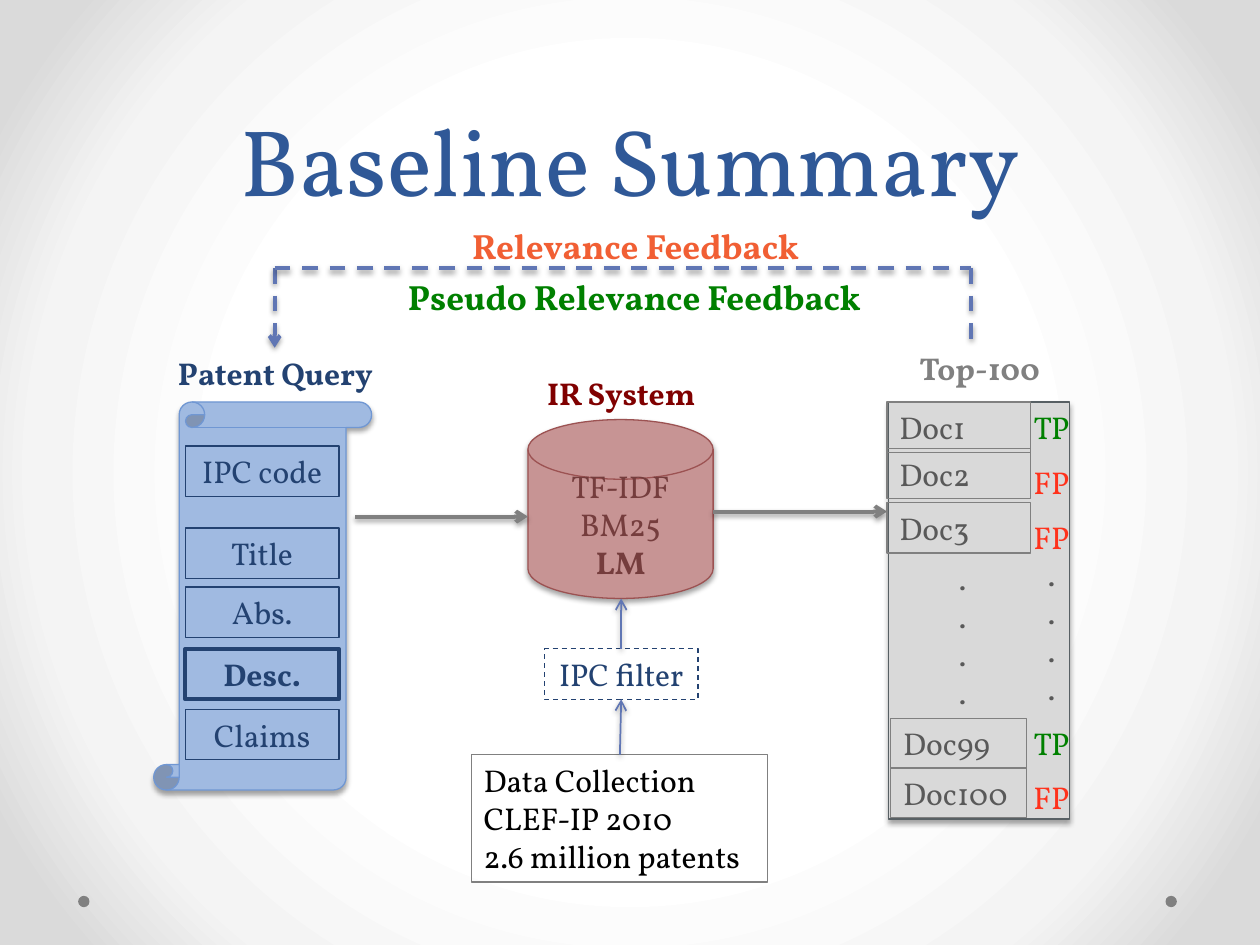
from lxml import etree
from pptx import Presentation
from pptx.dml.color import RGBColor
from pptx.enum import dml, shapes, text
from pptx.oxml import parse_xml
from pptx.util import Inches, Pt

FONT = "Vollkorn"
NS = "http://schemas.openxmlformats.org/drawingml/2006/main"
COLS, ROWS, CELL = 100, 75, 0.1  # the slide's grid, cell size in inches
LINE = 4  # rows taken by a one-line box
HUE = {
    "title": "2F5897", "navy": "234271", "blue": "6076B4", "gray": "808080",
    "scroll": "A0BAE1", "rim": "7097D3", "disk": "C79494", "edge": "9C5252",
    "wine": "753D3D", "maroon": "800000", "orange": "F15F34",
    "green": "008000", "red": "FF321C", "panel": "D9D9D9", "slate": "586064",
    "ink": "595959", "black": "000000",
}
GLOW = [(0, "FFFFFF"), (50, "FFFFFF"), (76, "F4F4F4"), (92, "DADADA"), (100, "DADADA")]
MID = text.PP_ALIGN.CENTER
LEFT = text.PP_ALIGN.LEFT


def grid(*cells):
    return [Inches(c * CELL) for c in cells]


def rgb(name):
    return RGBColor.from_string(HUE[name])


def shade(item, alpha=35, dist=1.8):
    """Cast a soft shadow straight down."""
    item._element.spPr.append(parse_xml(
        f'<a:effectLst xmlns:a="{NS}"><a:outerShdw blurRad="{Pt(3.1)}" '
        f'dist="{Pt(dist)}" dir="5400000" rotWithShape="0"><a:srgbClr val="000000">'
        f'<a:alpha val="{alpha * 1000}"/></a:srgbClr></a:outerShdw></a:effectLst>'))


def edge(item, hue, width=0.75, dash=False):
    item.line.color.rgb = rgb(hue)
    item.line.width = Pt(width)
    if dash:
        item.line.dash_style = dml.MSO_LINE.DASH


def write(item, lines, hue, size=18, bold=False, align=MID):
    frame = item.text_frame
    frame.word_wrap = True
    for i, words in enumerate(lines):
        para = frame.paragraphs[0] if i == 0 else frame.add_paragraph()
        para.text, para.alignment = words, align
        font = para.font
        font.name, font.size, font.bold = FONT, Pt(size), bold
        font.color.rgb = rgb(hue)
    return frame


def label(slide, box, words, hue, **style):
    item = slide.shapes.add_textbox(*grid(*box))
    write(item, words.split("\n"), hue, **style)
    return item


def solid(slide, kind, box, fill, rim=None):
    item = slide.shapes.add_shape(kind, *grid(*box))
    item.fill.solid()
    item.fill.fore_color.rgb = rgb(fill)
    if rim:
        edge(item, rim)
        shade(item)
    else:
        item.line.fill.background()
        item.shadow.inherit = False
    return item


def link(slide, start, end, hue, width=2.25, dash=False, arrow=True):
    item = slide.shapes.add_connector(
        shapes.MSO_CONNECTOR.STRAIGHT, *grid(*start, *end))
    edge(item, hue, width, dash)
    if arrow:
        etree.SubElement(item.line._get_or_add_ln(), f"{{{NS}}}tailEnd", type="arrow")
    shade(item, 38, 1.6)


def backdrop(slide):
    slide.background.fill.gradient()
    grad = slide._element.find(f".//{{{NS}}}gradFill")
    stops = "".join(f'<a:gs pos="{p * 1000}"><a:srgbClr val="{c}"/></a:gs>' for p, c in GLOW)
    grad.getparent().replace(grad, parse_xml(
        f'<a:gradFill xmlns:a="{NS}" rotWithShape="1"><a:gsLst>{stops}</a:gsLst>'
        '<a:path path="circle"><a:fillToRect l="50000" t="50000" r="50000" '
        'b="50000"/></a:path></a:gradFill>'))
    for x in (6.2, 92.5):
        solid(slide, shapes.MSO_SHAPE.OVAL, (x, 71.1, 0.9, 0.9), "gray")


def heading(slide, box):
    frame = label(slide, box, "Baseline Summary", "title", size=54).text_frame
    frame.vertical_anchor = text.MSO_ANCHOR.BOTTOM
    frame.paragraphs[0].line_spacing = Pt(58)


def feedback(slide, box):
    x, y, w, h = box
    link(slide, (x, y), (x, y + h), "blue", dash=True)
    link(slide, (x, y), (x + w, y), "blue", dash=True, arrow=False)
    link(slide, (x + w, y), (x + w, y + 5.9), "blue", dash=True, arrow=False)
    label(slide, (x + 11.3, y - 4, 34.7, 4.4), "Relevance Feedback",
          "orange", size=20, bold=True)
    label(slide, (x + 8, y + 0.1, 41.1, 4.4), "Pseudo Relevance Feedback",
          "green", size=20, bold=True)


def query(slide, box):
    x, y, w, h = box
    roll = solid(slide, shapes.MSO_SHAPE.VERTICAL_SCROLL, box, "scroll", "rim")
    roll.adjustments[0] = 0.117
    label(slide, (x - 0.8, y - 4.3, 20.9, LINE), "Patent Query", "navy", bold=True)
    # Patent fields; the chosen one is bold
    fields = {"IPC code": 3.5, "Title": 10, "Abs.": 14.7, "Desc.": 19.6, "Claims": 24.4}
    for name, row in fields.items():
        pick = name == "Desc."
        item = label(slide, (x + 2.5, y + row, 12.2, LINE), name, "navy", bold=pick)
        edge(item, "navy", 2.25 if pick else 0.75)


def engine(slide, box):
    x, y, w, h = box
    disk = solid(slide, shapes.MSO_SHAPE.FLOWCHART_MAGNETIC_DISK, box, "disk", "edge")
    frame = write(disk, ["TF-IDF", "BM25", "LM"], "wine")
    frame.vertical_anchor = text.MSO_ANCHOR.MIDDLE
    frame.paragraphs[-1].font.bold = True
    label(slide, (x - 1.2, y - 4.1, 17.2, LINE), "IR System", "maroon", bold=True)


def source(slide, box):
    x, y, w, h = box
    data = label(slide, (x, y + 13.9 - 5.5, w, 10.1),
                 "Data Collection\nCLEF-IP 2010\n2.6 million patents", "black", align=LEFT)
    edge(data, "gray")
    sieve = label(slide, (x + 5.8, y, 12.2, LINE), "IPC filter", "navy")
    edge(sieve, "navy", dash=True)
    mid = x + 11.9
    link(slide, (mid - 0.1, y + 8.4), (mid, y + LINE), "blue", 1)
    link(slide, (mid, y), (mid, y - LINE), "blue", 1)


def results(slide, box):
    x, y, w, h = box
    solid(slide, shapes.MSO_SHAPE.RECTANGLE, box, "panel", "slate")
    label(slide, (x - 3.2, y - 4.7, 20.9, LINE), "Top-100", "gray", bold=True)
    # Ranked documents: name, left, row, width
    docs = [("Doc1", -0.1, 0, 11.4), ("Doc2", -0.1, 3.7, 11.4), ("Doc3", -0.1, 8, 11.4),
            ("Doc99", 0.2, 25.1, 10.8), ("Doc100", 0.2, 29, 10.8)]
    for name, left, row, wide in docs:
        item = label(slide, (x + left, y + row, wide, LINE), name, "ink", align=LEFT)
        edge(item, "gray")
    label(slide, (x + 0.2, y + 12, 11.4, 13.1), "\n".join("...."), "ink")
    # Verdicts, true or false positive
    marks = label(slide, (x + 9.9, y, 6.1, 33.7),
                  "\n".join(["TP", "FP", "FP", *"....", "TP", "FP"]), "ink")
    tint = {"TP": "green", "FP": "red"}
    for i, para in enumerate(marks.text_frame.paragraphs):
        if para.text in tint:
            para.font.color.rgb = rgb(tint[para.text])
            para.space_before = Pt(9.7 if i else 0)


def main():
    deck = Presentation()
    deck.slide_width, deck.slide_height = grid(COLS, ROWS)
    slide = deck.slides.add_slide(deck.slide_layouts[6])
    backdrop(slide)
    heading(slide, (5, 0.1, 90, 17.5))
    engine(slide, (41.9, 33.3, 14.7, 14.2))
    link(slide, (56.6, 40.6), (70.4, 40.6), "gray")
    link(slide, (28.2, 41), (41.9, 41), "gray")
    feedback(slide, (21.8, 21.3, 55.3, 6.3))
    query(slide, (12.2, 31.9, 17.3, 30.8))
    source(slide, (37.4, 51.5, 23.5, 18.5))
    results(slide, (70.5, 31.9, 14.4, 33.1))
    deck.save("out.pptx")


if __name__ == "__main__":
    main()
